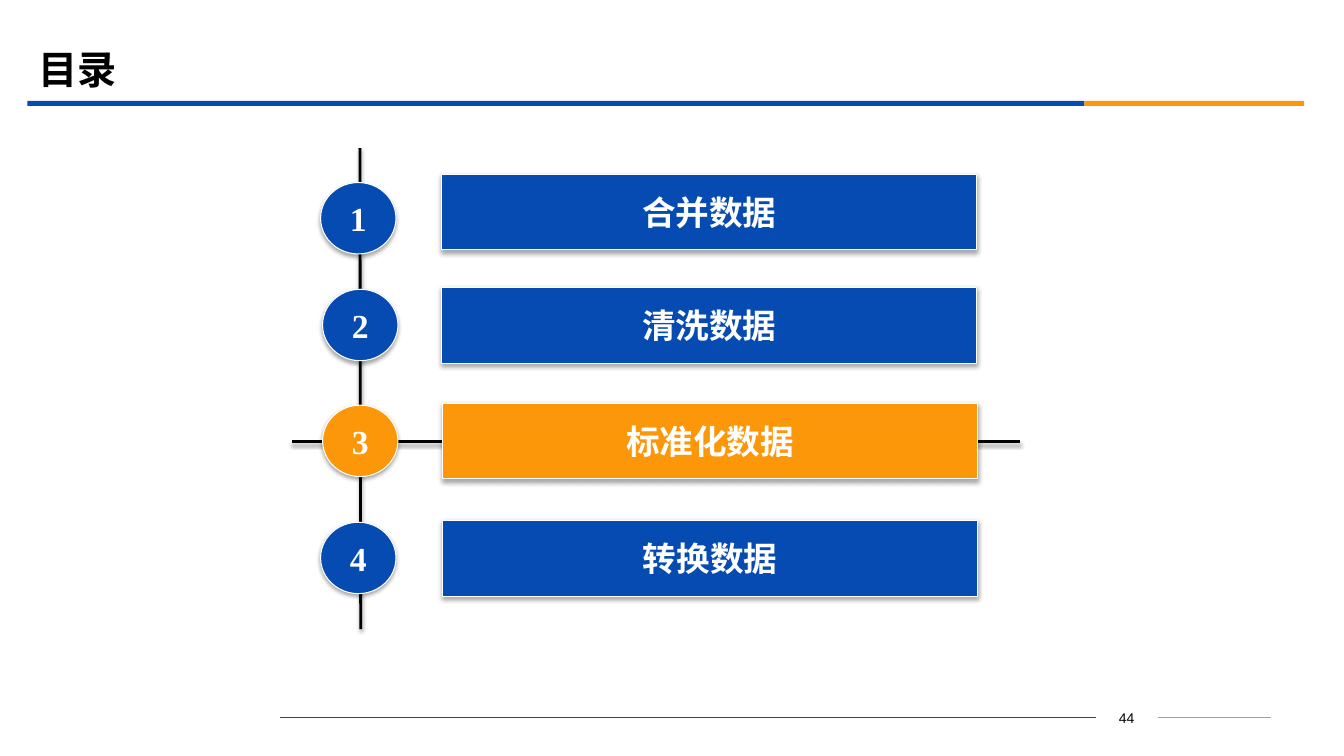
from lxml.etree import SubElement
from pptx import Presentation
from pptx.dml.color import RGBColor
from pptx.enum.shapes import MSO_CONNECTOR, MSO_SHAPE
from pptx.enum.text import MSO_ANCHOR, PP_ALIGN
from pptx.oxml.ns import qn
from pptx.util import Cm, Pt

COLORS = {
    "blue": "064BB2",
    "orange": "FB9708",
    "amber": "F19500",
    "black": "000000",
    "white": "FFFFFF",
}
TOPICS = [
    ("合并数据", "blue", 11.13, 4.39, 8.08, 4.6),
    ("清洗数据", "blue", 11.13, 7.24, 8.13, 7.29),
    ("标准化数据", "orange", 11.15, 10.16, 8.13, 10.21),
    ("转换数据", "blue", 11.15, 13.11, 8.08, 13.16),
]


def rgb(color):
    return RGBColor.from_string(COLORS[color])


def write(box, text, size=24, font="Times New Roman", color="white",
          bold=True, align=PP_ALIGN.CENTER, anchor=MSO_ANCHOR.MIDDLE, wrap=False):
    frame = box.text_frame
    frame.word_wrap = wrap
    frame.vertical_anchor = anchor
    paragraph = frame.paragraphs[0]
    paragraph.alignment = align
    run = paragraph.add_run()
    run.text = text
    run.font.size = Pt(size)
    run.font.name = font
    run.font.bold = bold
    run.font.color.rgb = rgb(color)


def set_effects(element, opacity=0, distance=0):
    effects = SubElement(element.spPr, qn("a:effectLst"))
    if opacity:
        shadow = SubElement(effects, qn("a:outerShdw"), blurRad=str(Pt(3.1)),
                            dist=str(Pt(distance)), dir="5400000", rotWithShape="0")
        tint = SubElement(shadow, qn("a:srgbClr"), val=COLORS["black"])
        SubElement(tint, qn("a:alpha"), val=str(opacity * 1000))


def add_block(slide, kind, left, top, width, height, color, outlined=False):
    block = slide.shapes.add_shape(kind, Cm(left), Cm(top), Cm(width), Cm(height))
    block.fill.solid()
    block.fill.fore_color.rgb = rgb(color)
    if outlined:
        block.line.color.rgb = rgb("white")
        block.line.width = Pt(0.75)
        set_effects(block.element, opacity=35, distance=1.8)
    else:
        block.line.fill.background()
        block.shadow.inherit = False
    return block


def add_rule(slide, x1, y1, x2, y2, color, width, opacity=0):
    rule = slide.shapes.add_connector(
        MSO_CONNECTOR.STRAIGHT, Cm(x1), Cm(y1), Cm(x2), Cm(y2))
    rule.line.color.rgb = rgb(color)
    rule.line.width = Pt(width)
    set_effects(rule.element, opacity=opacity, distance=1.6)


def add_label(slide, text, left, top, width, height, **style):
    label = slide.shapes.add_textbox(Cm(left), Cm(top), Cm(width), Cm(height))
    write(label, text, wrap=True, **style)


def add_topic(slide, number, title, color, bar_left, bar_top, badge_left, badge_top):
    bar = add_block(slide, MSO_SHAPE.ACTION_BUTTON_CUSTOM, bar_left, bar_top,
                    13.49, 1.91, color, outlined=True)
    write(bar, title)
    badge = add_block(slide, MSO_SHAPE.OVAL, badge_left, badge_top,
                      1.9, 1.8, color, outlined=True)
    write(badge, str(number))


def main():
    deck = Presentation()
    deck.slide_width, deck.slide_height = Cm(33.87), Cm(19.05)
    slide = deck.slides.add_slide(deck.slide_layouts[6])

    add_block(slide, MSO_SHAPE.RECTANGLE, 0.69, 2.54, 26.64, 0.13, "blue")
    add_block(slide, MSO_SHAPE.RECTANGLE, 27.33, 2.54, 5.54, 0.13, "orange")
    add_label(slide, "目录", 0.71, 0.99, 30.48, 1.47, size=28, color="black",
              align=PP_ALIGN.LEFT)

    add_rule(slide, 29.18, 18.08, 32.03, 18.08, "amber", 0.75)
    add_rule(slide, 7.06, 18.08, 27.61, 18.08, "blue", 0.75)
    add_label(slide, "44", 27.61, 17.75, 1.57, 0.64, size=10, font="Arial",
              color="black", bold=False, anchor=MSO_ANCHOR.TOP)

    add_rule(slide, 9.07, 3.73, 9.09, 15.85, "black", 2, opacity=38)
    add_rule(slide, 7.37, 11.13, 25.7, 11.13, "black", 2, opacity=38)
    for number, topic in enumerate(TOPICS, start=1):
        add_topic(slide, number, *topic)

    deck.save("out.pptx")


if __name__ == "__main__":
    main()
